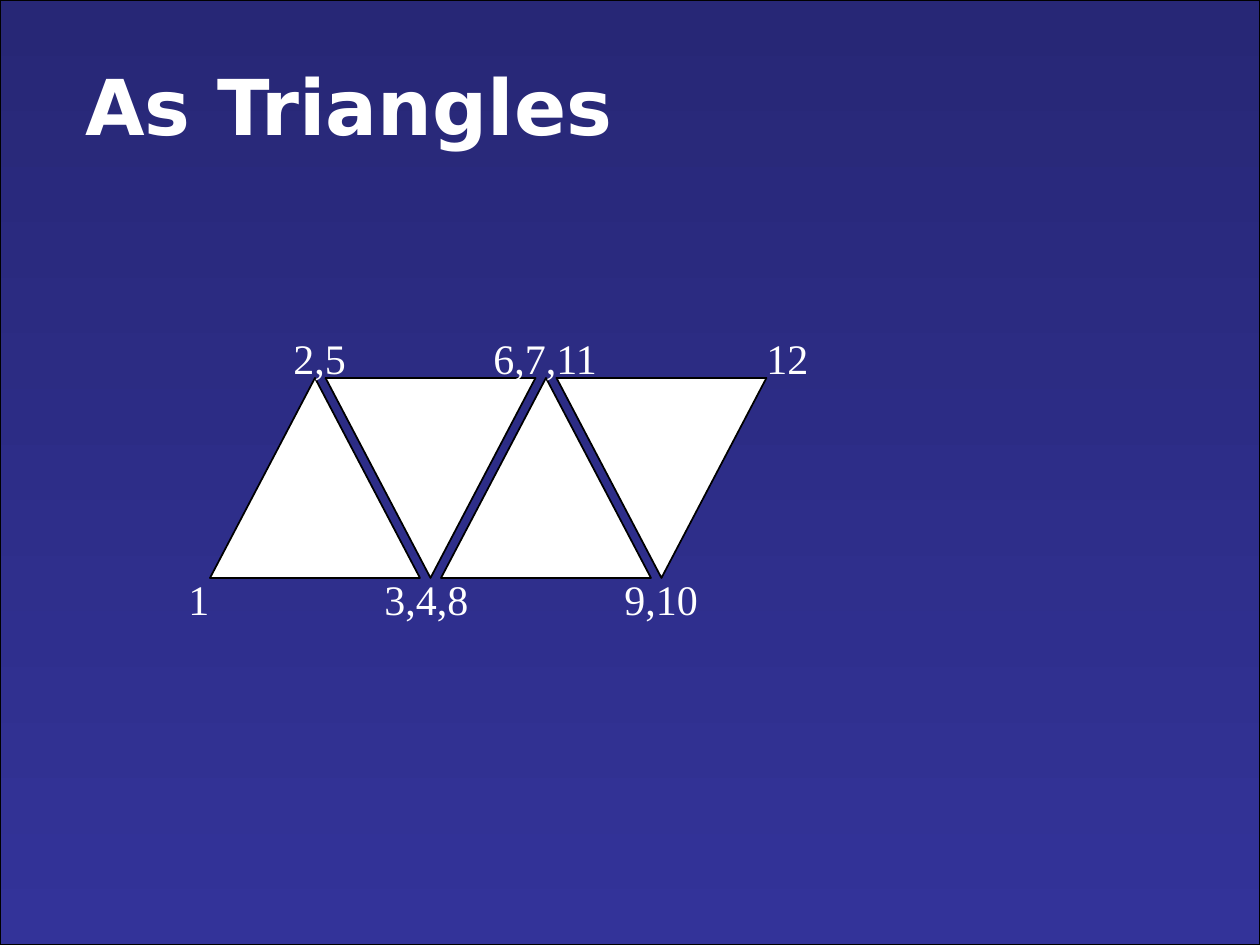
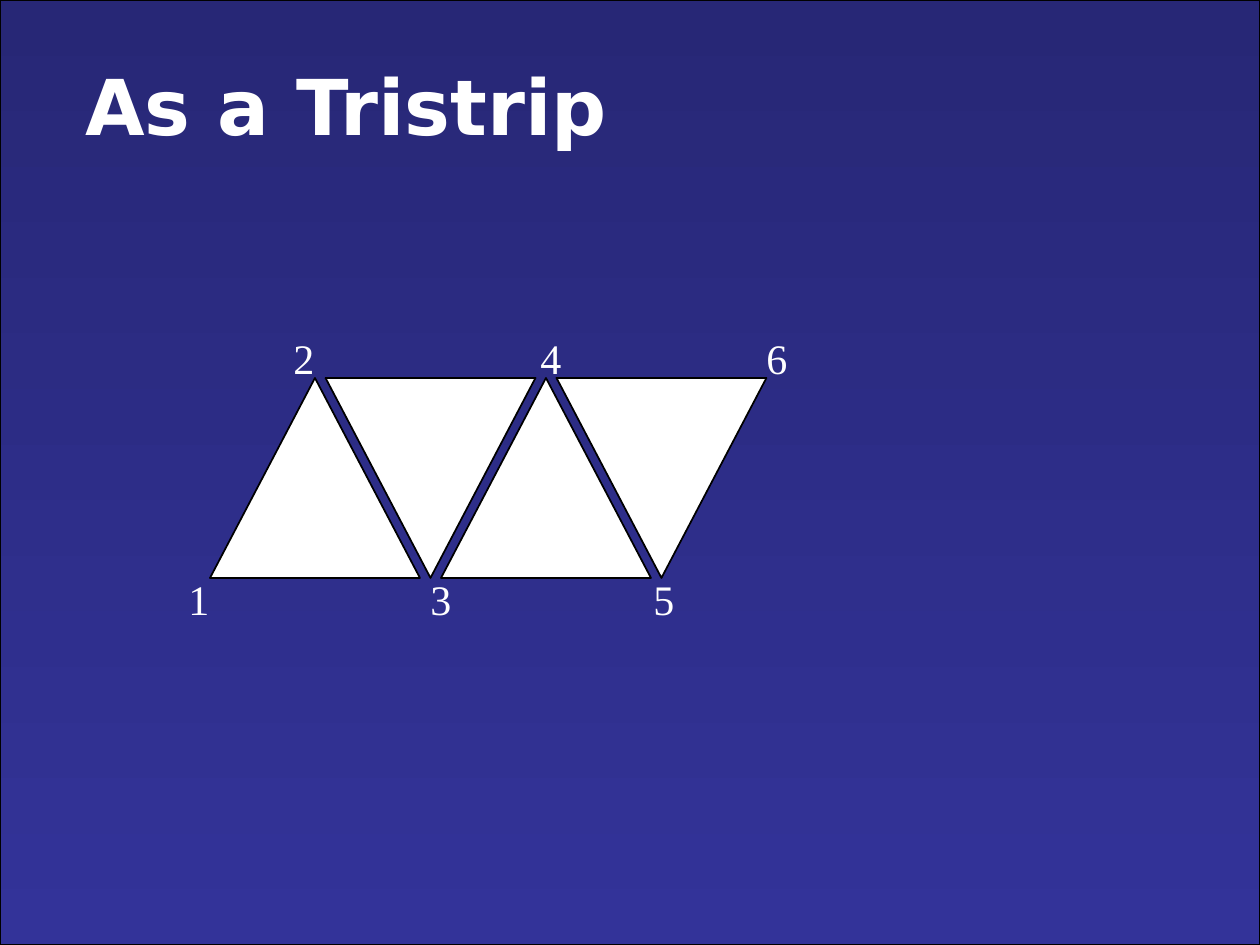
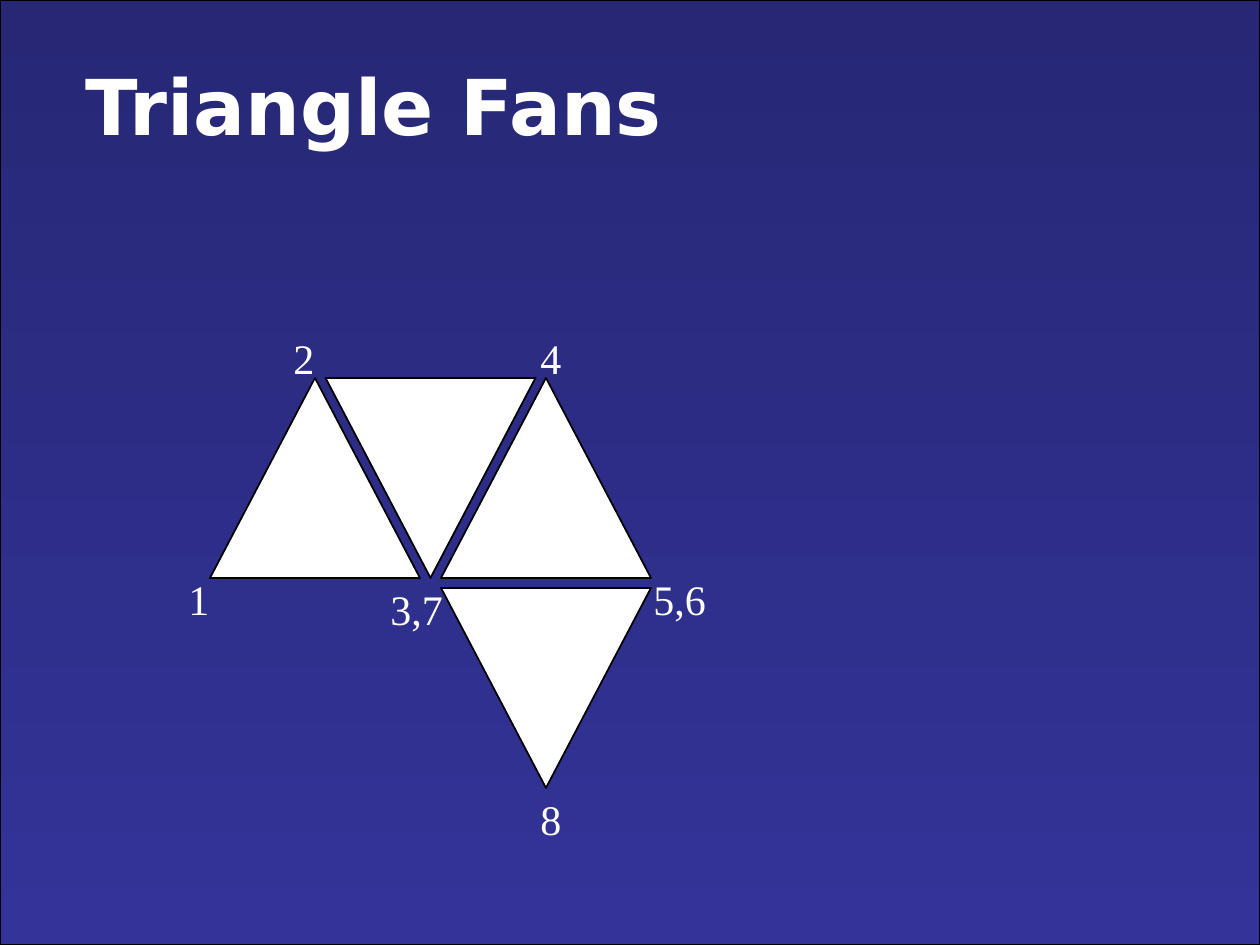
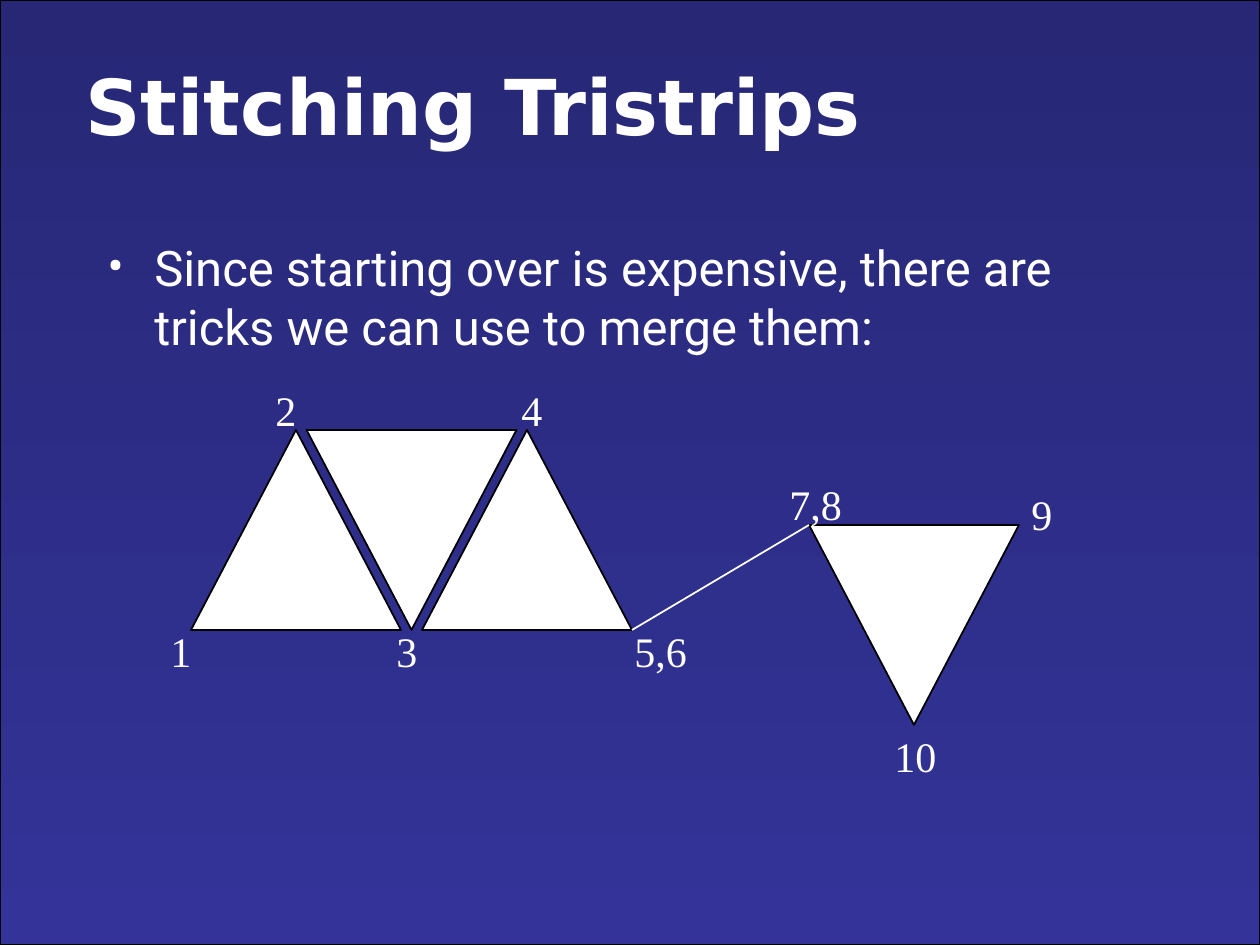
import pptx
import pptx.dml.color
import pptx.enum.shapes
import pptx.enum.text
import pptx.oxml
import pptx.oxml.ns
import pptx.util

PX_PER_INCH = 126
SLIDE_BOX = (0, 0, 1260, 945)
TITLE_BOX = (73, 31, 1071, 147)
BODY_BOX = (95, 231, 1071, 609)

WHITE, BLACK = "FFFFFF", "000000"
NAVY, INDIGO = "272776", "333399"
TITLE_FONT, BODY_FONT, LABEL_FONT = "DejaVu Sans", "Roboto", "Times New Roman"

TRIANGLE_W, TRIANGLE_H = 210, 200
PAIR_STEP = 231  # distance between two upright triangles
ABOVE, BELOW = -52, 189  # label tops relative to the strip
LABEL_H = 63


def px(length):
    return round(length * pptx.util.Inches(1) / PX_PER_INCH)


def rgb(hex_colour):
    return pptx.dml.color.RGBColor.from_string(hex_colour)


def style_text(paragraph, font_name, size, bold=False):
    for run in paragraph.runs:
        run.font.name = font_name
        run.font.size = pptx.util.Pt(size)
        run.font.bold = bold
        run.font.color.rgb = rgb(WHITE)


def add_outlined(slide, preset, box, line_width):
    outlined = slide.shapes.add_shape(preset, *map(px, box))
    outlined.shadow.inherit = False
    outlined.line.color.rgb = rgb(BLACK)
    outlined.line.width = pptx.util.Pt(line_width)
    return outlined


def add_text(slide, box, text, font_name, size, bold=False, wrap=True):
    text_box = slide.shapes.add_textbox(*map(px, box))
    frame = text_box.text_frame
    frame.word_wrap = wrap
    frame.text = text
    style_text(frame.paragraphs[0], font_name, size, bold)
    return frame


# Shared base: gradient backdrop and title
def add_titled_slide(deck, title):
    slide = deck.slides.add_slide(deck.slide_layouts[6])
    slide.background.fill.solid()
    slide.background.fill.fore_color.rgb = rgb(INDIGO)

    backdrop = add_outlined(slide, pptx.enum.shapes.MSO_SHAPE.RECTANGLE, SLIDE_BOX, 0.75)
    backdrop.fill.gradient()
    backdrop.fill.gradient_angle = 270  # top to bottom
    for stop, colour in zip(backdrop.fill.gradient_stops, (NAVY, INDIGO)):
        stop.color.rgb = rgb(colour)

    heading = add_text(slide, TITLE_BOX, title, TITLE_FONT, 44, bold=True)
    heading.vertical_anchor = pptx.enum.text.MSO_ANCHOR.MIDDLE
    return slide


def add_bullet(slide, box, text):
    frame = add_text(slide, box, text, BODY_FONT, 28)
    properties = frame.paragraphs[0]._p.get_or_add_pPr()
    properties.set("marL", str(px(47)))
    properties.set("indent", str(-px(47)))
    namespace = pptx.oxml.ns.nsdecls("a")
    for bullet_xml in (
        f'<a:buClr {namespace}><a:srgbClr val="{WHITE}"/></a:buClr>',
        f'<a:buFont {namespace} typeface="{BODY_FONT}"/>',
        f'<a:buChar {namespace} char="•"/>',
    ):
        properties.append(pptx.oxml.parse_xml(bullet_xml))


def add_triangle(slide, left, top, inverted):
    triangle = add_outlined(slide, pptx.enum.shapes.MSO_SHAPE.ISOSCELES_TRIANGLE,
                            (left, top, TRIANGLE_W, TRIANGLE_H), 1)
    triangle.fill.solid()
    triangle.fill.fore_color.rgb = rgb(WHITE)
    if inverted:
        triangle._element.spPr.xfrm.set("flipV", "1")


# Row of alternating triangles starting at the origin
def add_strip(slide, origin, count):
    left, top = origin
    for i in range(count):
        add_triangle(slide, left + i * PAIR_STEP / 2, top, inverted=i % 2 == 1)


# Vertex numbers, placed relative to the origin of the strip
def add_vertex_labels(slide, origin, labels):
    left, top = origin
    for text, x, y in labels:
        commas = text.count(",")
        width = 26 + 21 * (len(text) - commas) + 21 * commas // 2
        frame = add_text(slide, (left + x, top + y, width, LABEL_H),
                         text, LABEL_FONT, 24, wrap=False)
        frame.auto_size = pptx.enum.text.MSO_AUTO_SIZE.SHAPE_TO_FIT_TEXT


def add_stitch(slide, start, end):
    stitch = slide.shapes.add_connector(pptx.enum.shapes.MSO_CONNECTOR.STRAIGHT,
                                        *map(px, start + end))
    stitch.line.color.rgb = rgb(WHITE)
    stitch.line.width = pptx.util.Pt(1)
    stitch._element.spPr.append(
        pptx.oxml.parse_xml(f'<a:effectLst {pptx.oxml.ns.nsdecls("a")}/>'))


def build_strip_slide(deck, title, origin, labels):
    slide = add_titled_slide(deck, title)
    add_strip(slide, origin, 4)
    add_vertex_labels(slide, origin, labels)


def build_fan_slide(deck, origin):
    slide = add_titled_slide(deck, "Triangle Fans")
    left, top = origin
    add_strip(slide, origin, 3)
    add_triangle(slide, left + PAIR_STEP, top + 210, inverted=True)
    add_vertex_labels(slide, origin, [
        ("1", -34, BELOW), ("2", 71, ABOVE), ("3,7", 168, 199),
        ("4", 318, ABOVE), ("5,6", 431, BELOW), ("8", 318, 409)])


def build_stitching_slide(deck, origin):
    slide = add_titled_slide(deck, "Stitching Tristrips")
    add_bullet(slide, BODY_BOX, "Since starting over is expensive, there are "
                                "tricks we can use to merge them:")
    left, top = origin
    strip_end = (left + PAIR_STEP + TRIANGLE_W, top + TRIANGLE_H)
    next_start = (left + 618, top + 95)
    add_strip(slide, origin, 3)
    add_triangle(slide, *next_start, inverted=True)
    add_vertex_labels(slide, origin, [
        ("1", -33, BELOW), ("2", 72, ABOVE), ("3", 193, BELOW),
        ("4", 318, ABOVE), ("5,6", 431, BELOW), ("9", 828, 52),
        ("7,8", 586, 42), ("10", 691, 294)])
    add_stitch(slide, strip_end, next_start)


def main():
    deck = pptx.Presentation()
    deck.slide_width, deck.slide_height = map(px, SLIDE_BOX[2:])
    origin = (210, 378)
    build_strip_slide(deck, "As Triangles", origin, [
        ("1", -34, BELOW), ("2,5", 71, ABOVE), ("3,4,8", 162, BELOW),
        ("6,7,11", 271, ABOVE), ("9,10", 402, BELOW), ("12", 544, ABOVE)])
    build_strip_slide(deck, "As a Tristrip", origin, [
        ("1", -34, BELOW), ("2", 71, ABOVE), ("3", 208, BELOW),
        ("4", 318, ABOVE), ("5", 431, BELOW), ("6", 544, ABOVE)])
    build_fan_slide(deck, origin)
    build_stitching_slide(deck, (191, 430))
    deck.save("out.pptx")


if __name__ == "__main__":
    main()
